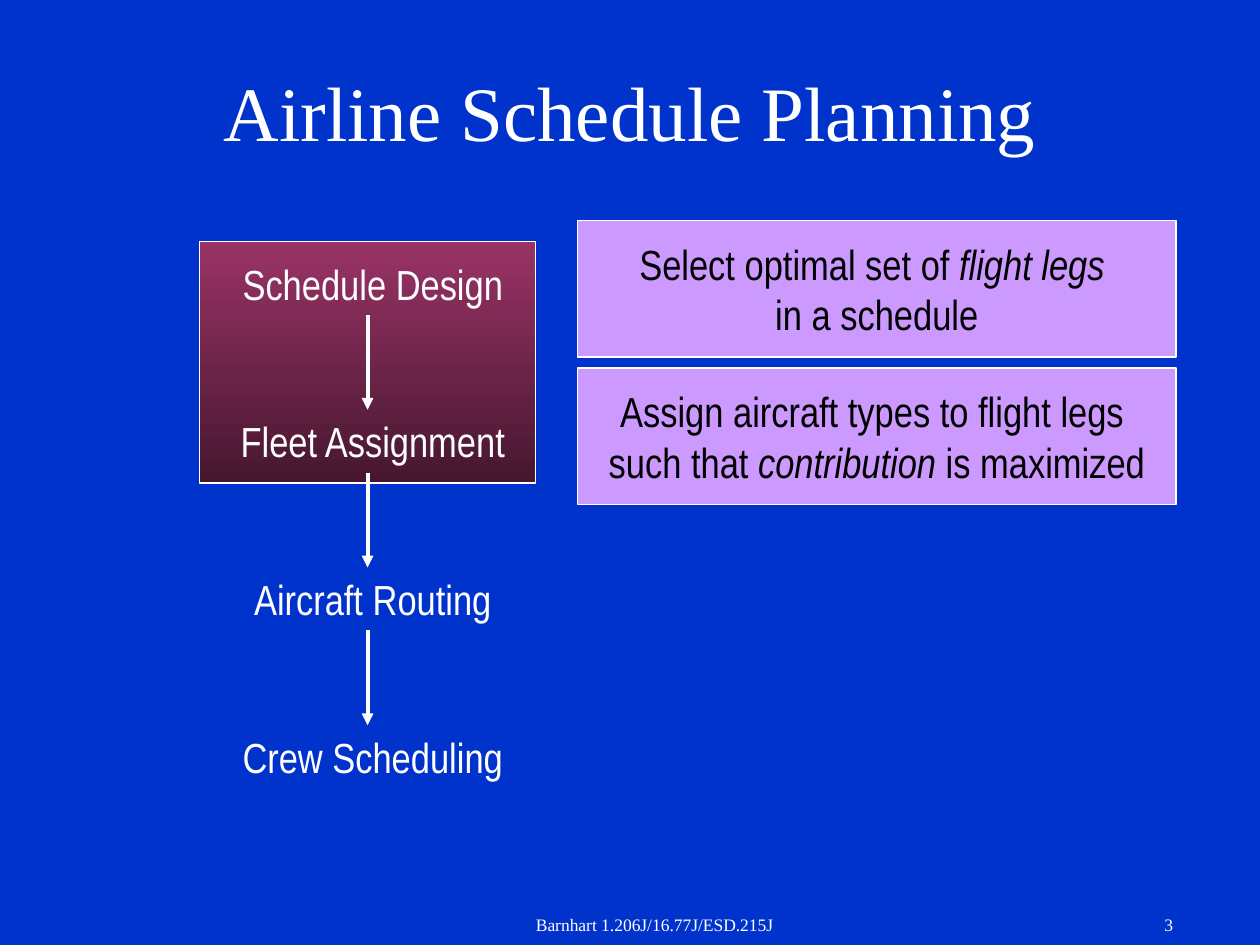
from lxml.etree import SubElement
from pptx import Presentation
from pptx.dml.color import RGBColor
from pptx.enum.shapes import MSO_CONNECTOR, MSO_SHAPE
from pptx.enum.text import MSO_ANCHOR, PP_ALIGN
from pptx.oxml.ns import qn
from pptx.util import Cm, Pt

BLUE = RGBColor(0x00, 0x33, 0xCC)
WHITE = RGBColor(0xFF, 0xFF, 0xFF)
BLACK = RGBColor(0x00, 0x00, 0x00)
LILAC = RGBColor(0xCC, 0x99, 0xFF)
PLUM = RGBColor(0x99, 0x33, 0x66)
DARK_PLUM = RGBColor(0x46, 0x17, 0x2F)

STEPS = ["Schedule Design", "Fleet Assignment", "Aircraft Routing", "Crew Scheduling"]
GOALS = [
    [[("Select optimal set of ", False), ("flight legs ", True)],
     [("in a schedule", False)]],
    [[("Assign aircraft types to flight legs ", False)],
     [("such that ", False), ("contribution", True), (" is maximized", False)]],
]


class SlideBuilder:
    """Holds the style and the current slide, and draws each kind of element."""

    serif = "Times New Roman"
    narrow = "Arial Narrow"
    body_size = 24

    def __init__(self, slide):
        self.slide = slide
        slide.background.fill.solid()
        slide.background.fill.fore_color.rgb = BLUE

    def style(self, font, name, size, color):
        font.name = name
        font.size = Pt(size)
        font.color.rgb = color

    def text(self, text, left, top, width, height, name, size,
             align=PP_ALIGN.CENTER, anchor=MSO_ANCHOR.TOP):
        shape = self.slide.shapes.add_textbox(Cm(left), Cm(top), Cm(width), Cm(height))
        text_frame = shape.text_frame
        text_frame.word_wrap = True
        text_frame.vertical_anchor = anchor
        text_frame.text = text
        paragraph = text_frame.paragraphs[0]
        paragraph.alignment = align
        self.style(paragraph.runs[0].font, name, size, WHITE)

    def rectangle(self, left, top, width, height):
        shape = self.slide.shapes.add_shape(
            MSO_SHAPE.RECTANGLE, Cm(left), Cm(top), Cm(width), Cm(height))
        shape.shadow.inherit = False
        shape.line.color.rgb = WHITE
        shape.line.width = Pt(0.75)
        return shape

    def gradient_panel(self, left, top, width, height):
        fill = self.rectangle(left, top, width, height).fill
        fill.gradient()
        fill.gradient_angle = 270
        for stop, color in zip(fill.gradient_stops, (PLUM, DARK_PLUM)):
            stop.color.rgb = color

    def goal_box(self, lines, left, top, width, height):
        shape = self.rectangle(left, top, width, height)
        shape.fill.solid()
        shape.fill.fore_color.rgb = LILAC
        text_frame = shape.text_frame
        text_frame.word_wrap = False
        text_frame.vertical_anchor = MSO_ANCHOR.MIDDLE
        text_frame.text = "\n" * (len(lines) - 1)
        for paragraph, pieces in zip(text_frame.paragraphs, lines):
            paragraph.alignment = PP_ALIGN.CENTER
            for text, italic in pieces:
                run = paragraph.add_run()
                run.text = text
                run.font.italic = italic
                self.style(run.font, self.narrow, self.body_size, BLACK)

    def down_arrow(self, x, top, length):
        connector = self.slide.shapes.add_connector(
            MSO_CONNECTOR.STRAIGHT, Cm(x), Cm(top), Cm(x), Cm(top + length))
        connector.line.color.rgb = WHITE
        connector.line.width = Pt(2.25)
        SubElement(connector.line._get_or_add_ln(), qn("a:tailEnd"), type="triangle")
        SubElement(connector._element.spPr, qn("a:effectLst"))


def main():
    presentation = Presentation()
    presentation.slide_width = Cm(25.4)
    presentation.slide_height = Cm(19.05)
    builder = SlideBuilder(presentation.slides.add_slide(presentation.slide_layouts[6]))

    builder.text("Airline Schedule Planning", 1.91, 0.64, 21.59, 3.18,
                 builder.serif, 44, anchor=MSO_ANCHOR.MIDDLE)
    builder.gradient_panel(4.02, 4.87, 6.77, 4.87)

    step_top, step_height, step_pitch = 5.08, 1.27, 3.18
    for index, step in enumerate(STEPS):
        top = step_top + index * step_pitch
        builder.text(step, 3.81, top, 7.41, step_height, builder.narrow, builder.body_size)
        if index:
            gap = step_pitch - step_height
            builder.down_arrow(7.41, top - gap, gap)

    for index, lines in enumerate(GOALS):
        builder.goal_box(lines, 11.64, 4.45 + index * 2.97, 12.07, 2.75)

    footer_top, footer_height = 18.31, 0.74
    builder.text("Barnhart 1.206J/16.77J/ESD.215J", 9.17, footer_top, 8.05, footer_height,
                 builder.serif, 10)
    builder.text("3", 18.62, footer_top, 5.28, footer_height,
                 builder.serif, 10, align=PP_ALIGN.RIGHT)
    presentation.save("out.pptx")


if __name__ == "__main__":
    main()
